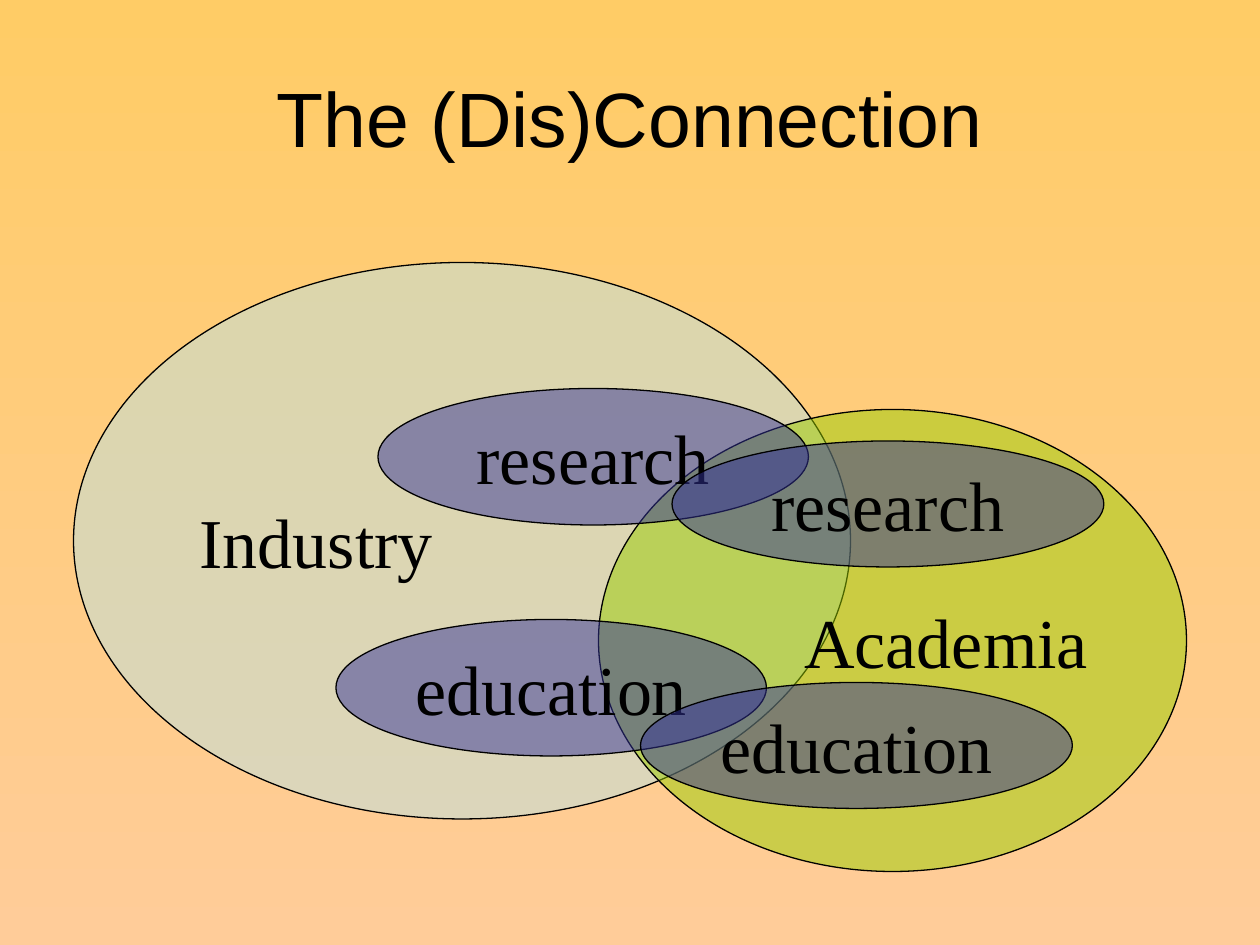
from lxml.etree import SubElement
from pptx import Presentation
from pptx.dml.color import RGBColor
from pptx.enum.shapes import MSO_SHAPE as Shape
from pptx.enum.text import MSO_ANCHOR as Anchor, PP_ALIGN as Align
from pptx.oxml.ns import qn
from pptx.util import Emu, Pt

EMU_PER_PX = 9525
BLACK = "000000"
BACKGROUND = ("FFCC66", "FFCC99")
INDUSTRY, ACADEMIA, ACTIVITY = "BBE0E3", "99CC00", "333399"
TITLE_FONT = {"name": "Arial", "size": Pt(44), "bold": False}
LABEL_FONT = {"name": "Times New Roman", "size": Pt(40)}
ELLIPSES = [
    ("Industry", INDUSTRY, Align.LEFT, (0, 0, 592, 424)),
    ("Academia", ACADEMIA, Align.RIGHT, (400, 112, 448, 352)),
    ("research", ACTIVITY, Align.CENTER, (232, 96, 328, 104)),
    ("research", ACTIVITY, Align.CENTER, (456, 136, 329, 96)),
    ("education", ACTIVITY, Align.CENTER, (200, 272, 328, 104)),
    ("education", ACTIVITY, Align.CENTER, (432, 320, 329, 96)),
]


def px(value):
    """Turn pixels into EMU."""
    return Emu(value * EMU_PER_PX)


def color(value):
    """Turn a hex string into a colour."""
    return RGBColor.from_string(value)


def set_values(target, values):
    """Set attributes from a dict of format values."""
    for name, value in values.items():
        setattr(target, name, value)


def write_text(shape, text, align, font, wrap):
    """Write one formatted, vertically centred paragraph."""
    frame = shape.text_frame
    set_values(frame, {"word_wrap": wrap, "vertical_anchor": Anchor.MIDDLE})
    paragraph = frame.paragraphs[0]
    paragraph.alignment = align
    run = paragraph.add_run()
    run.text = text
    set_values(run.font, font)
    run.font.color.rgb = color(BLACK)


def paint_background(slide):
    """Fill the slide with a gradient from top to bottom."""
    fill = slide.background.fill
    fill.gradient()
    fill.gradient_angle = 270
    for position, (stop, value) in enumerate(zip(fill.gradient_stops, BACKGROUND)):
        stop.position = position
        stop.color.rgb = color(value)


def place_title(slide, box, text):
    """Place and format the title in its box."""
    title = slide.shapes.title
    set_values(title, dict(zip(("left", "top", "width", "height"), map(px, box))))
    write_text(title, text, Align.CENTER, TITLE_FONT, True)


def add_ellipse(slide, box, text, fill_color, align):
    """Add a half-transparent, labelled ellipse."""
    ellipse = slide.shapes.add_shape(Shape.OVAL, *map(px, box))
    ellipse.shadow.inherit = False
    ellipse.fill.solid()
    ellipse.fill.fore_color.rgb = color(fill_color)
    fill_element = ellipse.element.spPr.find(qn("a:solidFill"))
    SubElement(fill_element[0], qn("a:alpha"), val="50000")
    ellipse.line.color.rgb = color(BLACK)
    ellipse.line.width = Pt(0.75)
    write_text(ellipse, text, align, LABEL_FONT, False)


def draw_venn(slide, left, top):
    """Draw the overlapping ellipses from a top left corner."""
    for text, fill_color, align, (x, y, width, height) in ELLIPSES:
        add_ellipse(slide, (left + x, top + y, width, height), text, fill_color, align)


def main():
    """Build and save the presentation."""
    presentation = Presentation()
    set_values(presentation, {"slide_width": px(960), "slide_height": px(720)})
    slide = presentation.slides.add_slide(presentation.slide_layouts[5])
    paint_background(slide)
    place_title(slide, (48, 29, 864, 120), "The (Dis)Connection")
    draw_venn(slide, 56, 200)
    presentation.save("out.pptx")


if __name__ == "__main__":
    main()
